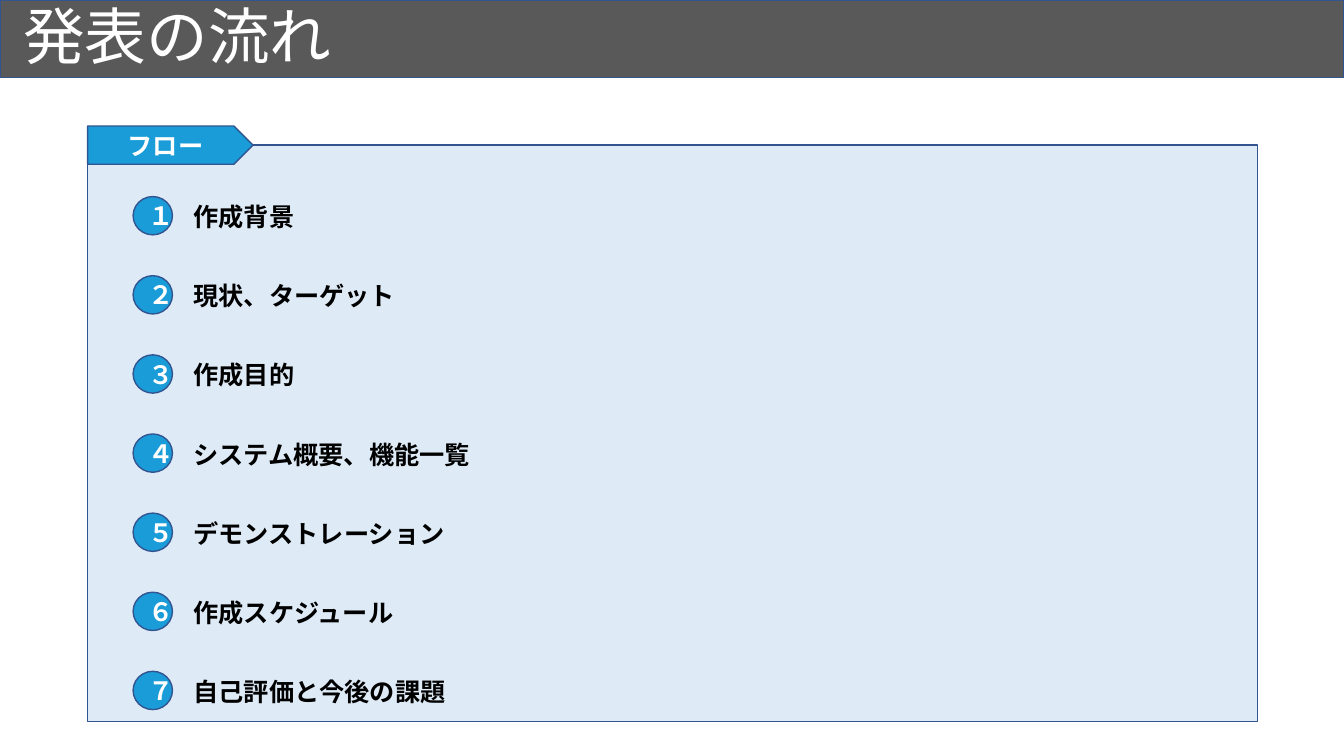
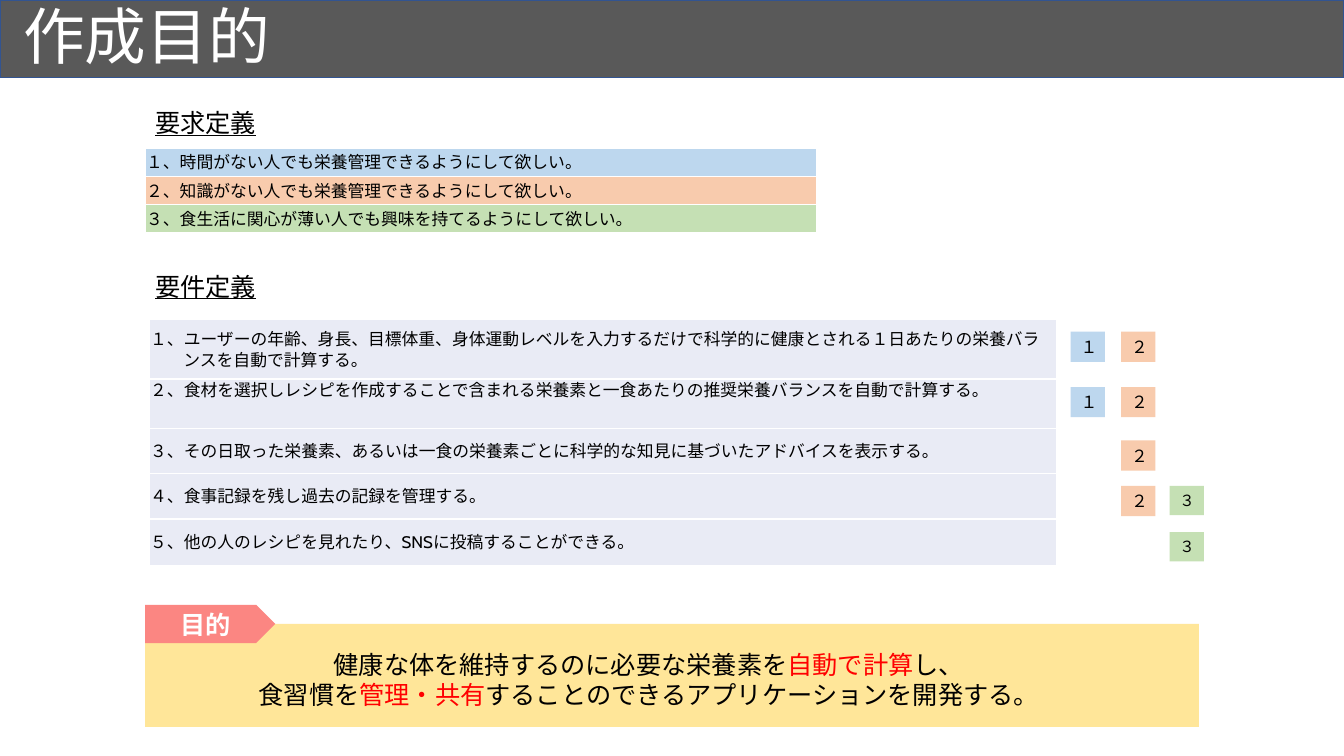
from lxml import etree
from pptx import Presentation
from pptx.dml.color import RGBColor
from pptx.enum.lang import MSO_LANGUAGE_ID
from pptx.enum.shapes import MSO_SHAPE
from pptx.enum.text import MSO_ANCHOR, MSO_AUTO_SIZE, PP_ALIGN
from pptx.oxml.ns import qn
from pptx.util import Inches, Pt

RECT, OVAL, TAB = MSO_SHAPE.RECTANGLE, MSO_SHAPE.OVAL, MSO_SHAPE.PENTAGON
LEFT, CENTER = PP_ALIGN.LEFT, PP_ALIGN.CENTER
TOP, MIDDLE = MSO_ANCHOR.TOP, MSO_ANCHOR.MIDDLE
GROW, FIXED = MSO_AUTO_SIZE.SHAPE_TO_FIT_TEXT, MSO_AUTO_SIZE.NONE
JAPANESE = MSO_LANGUAGE_ID.JAPANESE

FONT = "Cabin"
BLACK, WHITE, RED = "000000", "FFFFFF", "FF0000"
GRAY, NAVY, BLUE, PALE = "595959", "325491", "199CD8", "DEEBF7"
LAVENDER, YELLOW, CORAL = "E9EBF5", "FFE699", "FB8682"

FLOW_TITLE = "発表の流れ"
FLOW_LABEL = "フロー"
FLOW_STEPS = [
    ("１", "作成背景", 1.21),
    ("２", "現状、ターゲット", 2.22),
    ("３", "作成目的", 1.21),
    ("４", "システム概要、機能一覧", 2.98),
    ("５", "デモンストレーション", 2.73),
    ("６", "作成スケジュール", 2.22),
    ("７", "自己評価と今後の課題", 2.73),
]

PURPOSE_TITLE = "作成目的"
HEADINGS = [("要求定義", 1.02), ("要件定義", 2.64)]
REQUESTS = [
    ("１、時間がない人でも栄養管理できるようにして欲しい。", "BDD7EE"),
    ("２、知識がない人でも栄養管理できるようにして欲しい。", "F8CBAD"),
    ("３、食生活に関心が薄い人でも興味を持てるようにして欲しい。", "C5E0B4"),
]
REQUIREMENTS = [
    (["１、ユーザーの年齢、身長、目標体重、身体運動レベルを入力するだけで科学的に健康とされる１日あたりの栄養バラ",
      "ンスを自動で計算する。"], 0.59, MIDDLE, 3.29, "１２"),
    (["２、食材を選択しレシピを作成することで含まれる栄養素と一食あたりの推奨栄養バランスを自動で計算する。"],
     0.49, TOP, 3.84, "１２"),
    (["３、その日取った栄養素、あるいは一食の栄養素ごとに科学的な知見に基づいたアドバイスを表示する。"],
     0.45, MIDDLE, 4.37, "２"),
    (["４、食事記録を残し過去の記録を管理する。"], 0.45, MIDDLE, 4.82, "２３"),
    (["５、他の人のレシピを見れたり、SNSに投稿することができる。"], 0.46, MIDDLE, 5.28, "３"),
]
TAGS = {
    "１": (10.62, 0.3, 12),
    "２": (11.12, 0.3, 12),
    "３": (11.6, 0.29, 11),
}
PURPOSE_LABEL = "目的"
PURPOSE = [
    ["健康な体を維持するのに必要な栄養素を", ("自動で計算", RED), "し、"],
    ["食習慣を", ("管理・共有", RED), "することのできるアプリケーションを開発する。"],
]


def rgb(value):
    return RGBColor.from_string(value)


def write(frame, text, size=18, color=BLACK, bold=False, underline=False,
          align=LEFT, spacing=None, hang=0):
    lines = [text] if isinstance(text, str) else text
    for number, line in enumerate(lines):
        para = frame.add_paragraph() if number else frame.paragraphs[0]
        para.alignment = align
        if spacing:
            para.line_spacing = spacing
        if number and hang:
            para._p.get_or_add_pPr().set("marL", str(Inches(hang)))
        for piece in [line] if isinstance(line, str) else line:
            words, shade = (piece, color) if isinstance(piece, str) else piece
            span = para.add_run()
            span.text = words
            font = span.font
            font.size, font.bold, font.underline = Pt(size), bold, underline
            font.name, font.language_id = FONT, JAPANESE
            font.color.rgb = rgb(shade)
            etree.SubElement(span._r.get_or_add_rPr(), qn("a:ea"), typeface=FONT)


def add_box(page, kind, place, fill, line=None, text=None, anchor=MIDDLE, grow=False, **style):
    box = page.shapes.add_shape(kind, *map(Inches, place))
    box.shadow.inherit = False
    box.fill.solid()
    box.fill.fore_color.rgb = rgb(fill)
    if line:
        box.line.color.rgb = rgb(line)
        box.line.width = Pt(1)
    else:
        box.line.fill.background()
    if text:
        frame = box.text_frame
        frame.vertical_anchor = anchor
        frame.auto_size = GROW if grow else FIXED
        write(frame, text, **style)
    return box


def add_text(page, place, text, **style):
    frame = page.shapes.add_textbox(*map(Inches, place)).text_frame
    frame.word_wrap = False
    frame.auto_size = GROW
    write(frame, text, **style)


def add_panel(page, place, fill, label, label_width, label_fill, line=None):
    left, top = place[:2]
    add_box(page, RECT, place, fill, line)
    add_box(page, TAB, (left, top - 0.19, label_width, 0.38), label_fill, line,
            label, color=WHITE, bold=True, align=CENTER)


def add_grid(page, left, top, width, rows):
    height = sum(row[1] for row in rows)
    table = page.shapes.add_table(
        len(rows), 1, *map(Inches, (left, top, width, height))).table
    table.first_row = table.horz_banding = False
    for number, (text, row_height, anchor, fill) in enumerate(rows):
        table.rows[number].height = Inches(row_height)
        cell = table.cell(number, 0)
        cell.margin_left = cell.margin_right = cell.margin_top = Inches(0.01)
        cell.margin_bottom = 0
        cell.vertical_anchor = anchor
        write(cell.text_frame, text, size=12, hang=0.33)
        properties = cell._tc.get_or_add_tcPr()
        for side in ("lnL", "lnR", "lnT", "lnB"):
            border = etree.SubElement(properties, qn("a:" + side), w=str(Pt(1)))
            paint = etree.SubElement(border, qn("a:solidFill"))
            etree.SubElement(paint, qn("a:srgbClr"), val=WHITE)
        cell.fill.solid()
        cell.fill.fore_color.rgb = rgb(fill)


def add_page(deck, title):
    page = deck.slides.add_slide(deck.slide_layouts[5])
    box = page.shapes.title
    box.left, box.top, box.width, box.height = map(Inches, (0.13, 0.01, 13.01, 0.77))
    frame = box.text_frame
    frame.auto_size, frame.vertical_anchor, frame.word_wrap = FIXED, MIDDLE, True
    write(frame, title, size=44, color=WHITE, spacing=0.9)
    return page


def share_band(page):
    band = add_box(page, RECT, (0, 0, 13.33, 0.77), GRAY, NAVY)
    page.slide_layout.shapes._spTree.insert(2, band._element)


def fill_flow(page):
    add_panel(page, (0.87, 1.44, 11.6, 5.72), PALE, FLOW_LABEL, 1.64, BLUE, NAVY)
    first, last = 1.95, 6.66
    step = (last - first) / (len(FLOW_STEPS) - 1)
    for index, (number, text, width) in enumerate(FLOW_STEPS):
        top = first + index * step
        add_text(page, (1.82, top, width, 0.4), text, bold=True)
        add_box(page, OVAL, (1.32, top, 0.39, 0.38), BLUE, NAVY, number,
                color=WHITE, bold=True, align=CENTER)


def fill_purpose(page):
    add_grid(page, 1.44, 1.47, 6.66,
             [(text, 0.28, MIDDLE, fill) for text, fill in REQUESTS])
    add_grid(page, 1.48, 3.17, 9,
             [(text, height, anchor, LAVENDER)
              for text, height, anchor, _, _ in REQUIREMENTS])
    for text, top in HEADINGS:
        add_text(page, (1.44, top, 1.21, 0.4), text, underline=True)
    fills = {text[0]: fill for text, fill in REQUESTS}
    for _, _, _, top, numbers in REQUIREMENTS:
        for number in numbers:
            left, height, size = TAGS[number]
            add_box(page, RECT, (left, top, 0.34, height), fills[number],
                    text=number, size=size, anchor=TOP, grow=True)
    add_panel(page, (1.44, 6.19, 10.45, 1.02), YELLOW, PURPOSE_LABEL, 1.29, CORAL)
    add_text(page, (2.42, 6.39, 8.03, 0.71), PURPOSE, align=CENTER)


def main():
    deck = Presentation()
    deck.slide_width, deck.slide_height = Inches(13.33), Inches(7.5)
    flow = add_page(deck, FLOW_TITLE)
    share_band(flow)
    fill_flow(flow)
    fill_purpose(add_page(deck, PURPOSE_TITLE))
    deck.save("out.pptx")


if __name__ == "__main__":
    main()
